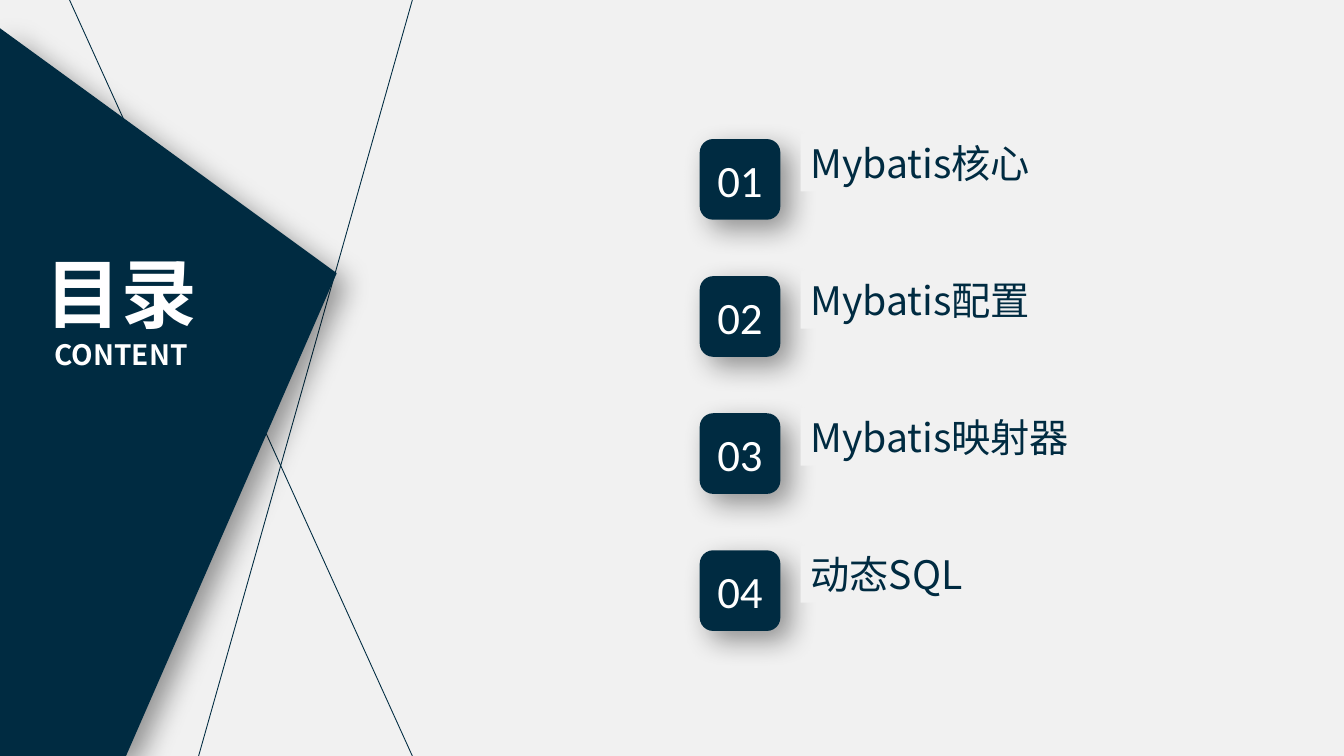
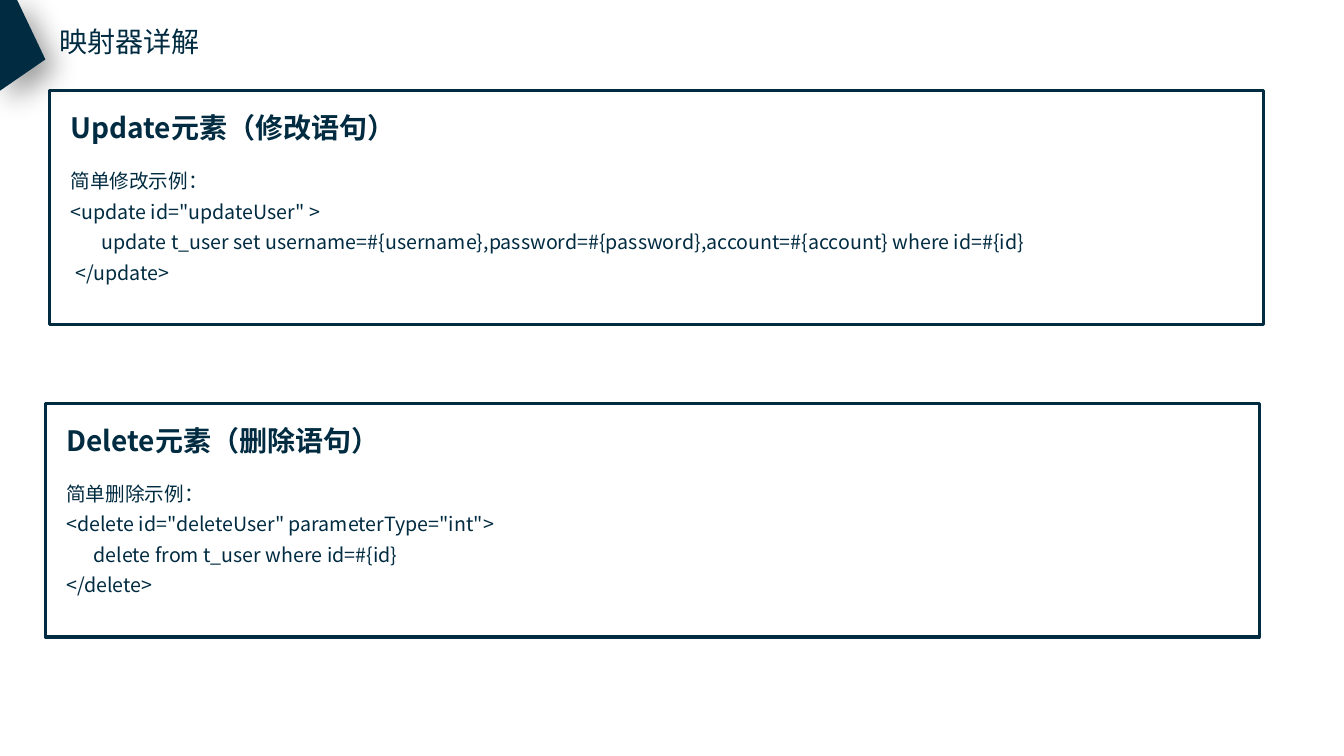
from lxml import etree
from pptx import Presentation, util as u
from pptx.dml.color import RGBColor
from pptx.enum import shapes, text
from pptx.oxml import ns
from pptx.util import Inches

COLORS = {"navy": "002B41", "mist": "F1F1F1", "white": "FFFFFF", "shadow": "000000"}
CJK, LATIN = "Noto Sans CJK SC", "Calibri"
LEFT, CENTER = text.PP_ALIGN.LEFT, text.PP_ALIGN.CENTER

AGENDA = [("Mybatis核心", 3.9), ("Mybatis配置", 3.64), ("Mybatis映射器", 3.17), ("动态SQL", 3.17)]
# Each code line: its indent in inches and its wording
STATEMENTS = [
    (0.49, 0.9, "Update元素（修改语句）", [
        (0, "简单修改示例："),
        (0, '<update id="updateUser" >'),
        (0.31, "update t_user set username=#{username},password=#{password},"
               "account=#{account} where id=#{id}"),
        (0.05, "</update>")]),
    (0.45, 4, "Delete元素（删除语句）", [
        (0, "简单删除示例："),
        (0, '<delete id="deleteUser" parameterType="int">'),
        (0.27, "delete from t_user where id=#{id}"),
        (0, "</delete>")]),
]


def rgb(name):
    return RGBColor.from_string(COLORS[name])


def sub(parent, tag, **attributes):
    return etree.SubElement(parent, ns.qn(tag), attributes)


def add_slide(prs, background):
    slide = prs.slides.add_slide(prs.slide_layouts[6])
    slide.background.fill.solid()
    slide.background.fill.fore_color.rgb = rgb(background)
    return slide


def style(paragraph, size, color="navy", font=CJK, bold=False, align=LEFT):
    paragraph.alignment = align
    face = paragraph.font
    face.size, face.bold, face.name = u.Pt(size), bold, font
    face.color.rgb = rgb(color)
    # East Asian glyphs take their typeface from a separate element
    sub(paragraph._p.pPr.find(ns.qn("a:defRPr")), "a:ea", typeface=font)


def add_text(slide, left, top, width, height, wording, size, wrap=True, **look):
    box = slide.shapes.add_textbox(*map(Inches, (left, top, width, height)))
    frame = box.text_frame
    frame.word_wrap = wrap
    frame.auto_size = text.MSO_AUTO_SIZE.SHAPE_TO_FIT_TEXT
    frame.text = wording
    for paragraph in frame.paragraphs:
        style(paragraph, size, **look)
    return box


def paint(shape, fill):
    shape.shadow.inherit = False
    shape.fill.solid()
    shape.fill.fore_color.rgb = rgb(fill)
    shape.line.fill.background()


def cast_shadow(shape):
    effects = shape._element.spPr.find(ns.qn("a:effectLst"))
    shadow = sub(effects, "a:outerShdw", blurRad=str(u.Pt(20)), dist=str(u.Pt(10)),
                 dir=str(45 * 60000), algn="tl", rotWithShape="0")
    tint = sub(shadow, "a:srgbClr", val=COLORS["shadow"])
    sub(tint, "a:alpha", val="40000")


def add_wedge(slide, *corners):
    start, *rest = [(Inches(x), Inches(y)) for x, y in corners]
    outline = slide.shapes.build_freeform(*start)
    outline.add_line_segments(rest, close=True)
    wedge = outline.convert_to_shape()
    paint(wedge, "navy")
    cast_shadow(wedge)


def add_line(slide, *ends):
    line = slide.shapes.add_connector(shapes.MSO_CONNECTOR.STRAIGHT, *map(Inches, ends))
    line.line.color.rgb = rgb("navy")
    line.line.width = u.Pt(0.63)
    sub(line._element.spPr, "a:effectLst")


def add_agenda_item(slide, top, number, topic, width):
    tile = slide.shapes.add_shape(shapes.MSO_SHAPE.ROUNDED_RECTANGLE,
                                  *map(Inches, (6.94, top, 0.8, 0.8)))
    paint(tile, "navy")
    cast_shadow(tile)
    frame = tile.text_frame
    frame.word_wrap = False
    frame.vertical_anchor = text.MSO_ANCHOR.MIDDLE
    frame.text = f"{number:02}"
    style(frame.paragraphs[0], 32, "white", LATIN, align=CENTER)
    label = add_text(slide, 7.94, top - 0.05, width, 0.57, topic, 28)
    paint(label, "mist")


def add_statement(slide, left, top, heading, code):
    border = slide.shapes.add_shape(shapes.MSO_SHAPE.RECTANGLE,
                                    *map(Inches, (left, top, 12.04, 2.32)))
    border.shadow.inherit = False
    border.fill.background()
    border.line.color.rgb = rgb("navy")
    border.line.width = u.Pt(2.25)
    add_text(slide, left + 0.11, top + 0.15, 11.59, 0.44, heading, 20, bold=True)
    listing = add_text(slide, left + 0.11, top + 0.66, 10.9, 1.3,
                       "\n".join(wording for _, wording in code), 14)
    for paragraph, (indent, _) in zip(listing.text_frame.paragraphs, code):
        paragraph.line_spacing = 1.3
        properties = paragraph._p.get_or_add_pPr()
        properties.set("marL", str(Inches(indent)))
        properties.set("indent", "0")


def build_contents(prs):
    slide = add_slide(prs, "mist")
    # Title wedge with crossing lines
    add_line(slide, 4.09, 0, 1.97, 7.5)
    add_line(slide, 4.09, 7.5, 0.69, 0)
    add_wedge(slide, (1.25, 7.5), (0, 7.5), (0, 0.28), (3.34, 2.71))
    title = add_text(slide, 0.24, 2.4, 1.92, 1.35, "目录\nCONTENT", 54,
                     color="white", bold=True, align=CENTER)
    title.text_frame.paragraphs[1].font.size = u.Pt(20)
    # Agenda
    for row, (topic, width) in enumerate(AGENDA):
        add_agenda_item(slide, 1.38 + 1.36 * row, row + 1, topic, width)


def build_mapper(prs):
    slide = add_slide(prs, "white")
    # Header
    add_text(slide, 0.49, 0.19, 1.6, 0.44, "映射器详解", 20, wrap=False)
    add_wedge(slide, (0.17, 0), (0, 0), (0, 0.9), (0.45, 0.59))
    # Framed statements
    for statement in STATEMENTS:
        add_statement(slide, *statement)


def main():
    prs = Presentation()
    prs.slide_width, prs.slide_height = Inches(13.33), Inches(7.5)
    build_contents(prs)
    build_mapper(prs)
    prs.save("out.pptx")


main()
